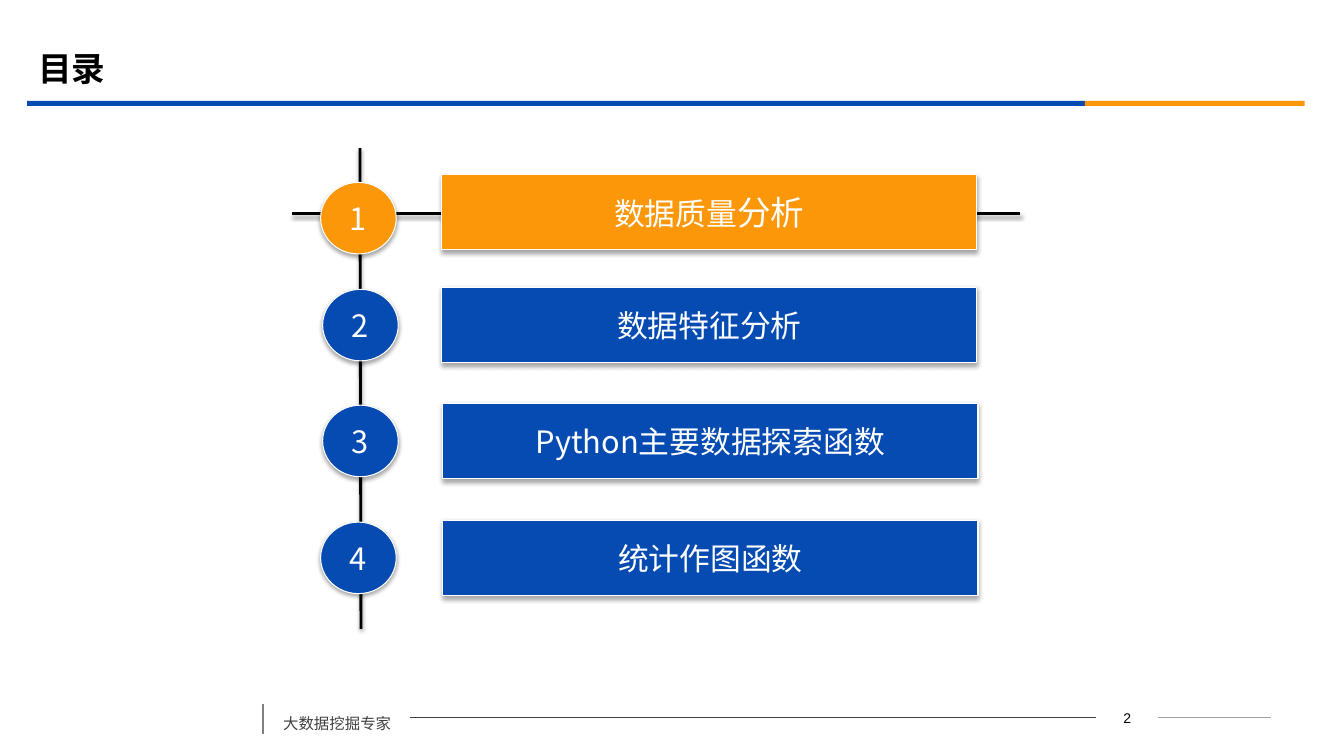
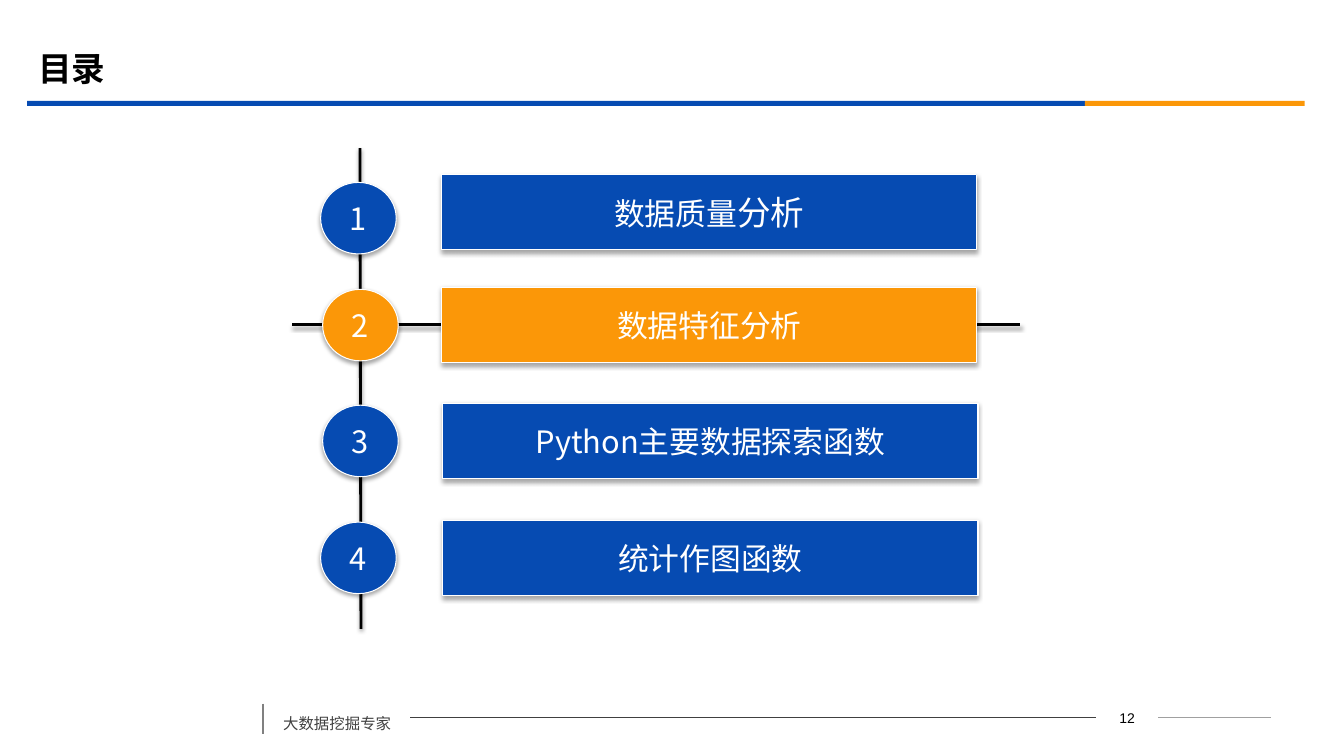
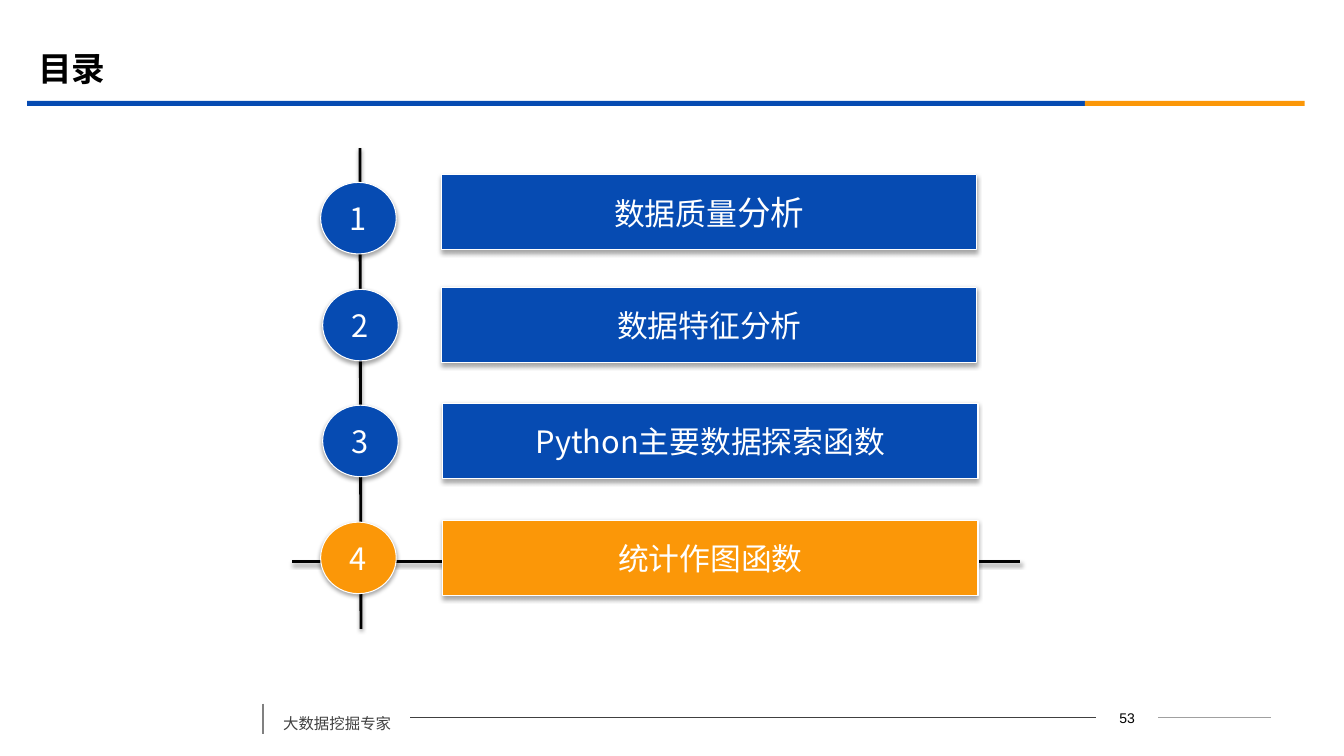
from dataclasses import dataclass

from lxml.etree import SubElement
from pptx import Presentation
from pptx.dml.color import RGBColor
from pptx.enum.shapes import MSO_CONNECTOR as Connector, MSO_SHAPE as Preset
from pptx.enum.text import MSO_ANCHOR as Anchor, MSO_AUTO_SIZE as AutoSize, PP_ALIGN as Align
from pptx.oxml.ns import qn
from pptx.util import Emu, Pt

EMU_PER_PX = 9144  # 100 px to the inch


@dataclass(frozen=True)
class Theme:
    blue: str = "064BB2"
    orange: str = "FB9708"
    black: str = "000000"
    white: str = "FFFFFF"
    motto: str = "404040"
    footer_rule: str = "404040"
    footer_tail: str = "A0A0A0"
    footer_bar: str = "808080"
    cjk_font: str = "Noto Sans CJK SC"
    number_font: str = "Arial"
    title_size: int = 24
    entry_size: int = 22
    entry_large_size: int = 24
    motto_size: int = 11
    number_size: int = 10
    hairline: float = 0.75
    rule_width: float = 2


THEME = Theme()


@dataclass(frozen=True)
class Box:
    left: int
    top: int
    width: int
    height: int

    def emu(self) -> tuple[Emu, ...]:
        return tuple(px(v) for v in (self.left, self.top, self.width, self.height))


@dataclass(frozen=True)
class Rule:
    start: tuple[int, int]
    end: tuple[int, int]
    color: str
    width: float


@dataclass(frozen=True)
class Shadow:
    opacity: int
    distance: float
    blur: float = 3.1


@dataclass(frozen=True)
class Entry:
    runs: tuple[tuple[str, int], ...]
    badge_left: int
    badge_top: int
    bar_left: int
    bar_top: int
    rule_y: int


@dataclass(frozen=True)
class Agenda:
    page: int
    current: int


BADGE_SIZE = (75, 71)
BAR_SIZE = (531, 75)
ENTRY_SHADOW = Shadow(35, 1.8)
RULE_SHADOW = Shadow(38, 1.6)
TITLE_BOX = Box(28, 39, 1200, 58)
MOTTO_BOX = Box(271, 694, 136, 38)
NUMBER_BOX = Box(1087, 699, 62, 25)
BANDS = (
    (Box(27, 100, 1049, 5), THEME.blue),
    (Box(1076, 100, 218, 5), THEME.orange),
)
FOOTER_RULES = (
    Rule((1149, 712), (1261, 712), THEME.footer_tail, THEME.hairline),
    Rule((407, 712), (1087, 712), THEME.footer_rule, THEME.hairline),
    Rule((261, 698), (261, 728), THEME.footer_bar, 1.25),
)
SPINE = Rule((357, 147), (358, 624), THEME.black, THEME.rule_width)
ENTRIES = (
    Entry((("数据质量", THEME.entry_size), ("分析", THEME.entry_large_size)),
          318, 181, 438, 173, 212),
    Entry((("数据特征分析", THEME.entry_size),), 320, 287, 438, 285, 322),
    Entry((("Python主要数据探索函数", THEME.entry_size),), 320, 402, 439, 400, 438),
    Entry((("统计作图函数", THEME.entry_size),), 318, 518, 439, 516, 557),
)
AGENDAS = (Agenda(2, 1), Agenda(12, 2), Agenda(53, 4))


def px(value: int) -> Emu:
    return Emu(value * EMU_PER_PX)


def rgb(color: str) -> RGBColor:
    return RGBColor.from_string(color)


def add_run(paragraph, text: str, size: int, color: str,
            font: str = THEME.cjk_font, bold: bool = False) -> None:
    run = paragraph.add_run()
    run.text = text
    run.font.size = Pt(size)
    run.font.bold = bold
    run.font.color.rgb = rgb(color)
    run.font.name = font
    SubElement(run.font._element, qn("a:ea"), typeface=font)


def add_shadow(effects, shadow: Shadow) -> None:
    outer = SubElement(effects, qn("a:outerShdw"), blurRad=str(Pt(shadow.blur)),
                       dist=str(Pt(shadow.distance)), dir="5400000", rotWithShape="0")
    tint = SubElement(outer, qn("a:srgbClr"), val=THEME.black)
    SubElement(tint, qn("a:alpha"), val=str(shadow.opacity * 1000))


def add_rule(slide, rule: Rule, shadow: Shadow | None = None):
    line = slide.shapes.add_connector(
        Connector.STRAIGHT, *(px(v) for v in rule.start + rule.end))
    line.line.color.rgb = rgb(rule.color)
    line.line.width = Pt(rule.width)
    effects = SubElement(line.element.spPr, qn("a:effectLst"))
    if shadow:
        add_shadow(effects, shadow)
    return line


def add_filled(slide, preset: Preset, box: Box, color: str):
    shape = slide.shapes.add_shape(preset, *box.emu())
    shape.shadow.inherit = False
    shape.fill.solid()
    shape.fill.fore_color.rgb = rgb(color)
    shape.line.fill.background()
    return shape


def add_text_box(slide, box: Box):
    frame = slide.shapes.add_textbox(*box.emu())
    frame.text_frame.word_wrap = True
    return frame


# Bands and footer, held by the layout
def build_frame(slide, layout) -> None:
    for holder in list(layout.placeholders):
        if holder.placeholder_format.idx != 0:
            holder.element.getparent().remove(holder.element)
    parts = [add_filled(slide, Preset.RECTANGLE, box, color) for box, color in BANDS]
    parts += [add_rule(slide, rule) for rule in FOOTER_RULES]
    motto = add_text_box(slide, MOTTO_BOX)
    motto.text_frame.auto_size = AutoSize.SHAPE_TO_FIT_TEXT
    paragraph = motto.text_frame.paragraphs[0]
    paragraph.line_spacing = 1.5
    paragraph.space_before = Pt(6)
    add_run(paragraph, "大数据挖掘专家", THEME.motto_size, THEME.motto)
    for part in parts + [motto]:
        layout.shapes.element.append(part.element)


# Title and page number
def add_heading(slide, page: int) -> None:
    title = slide.shapes.title
    title.left, title.top, title.width, title.height = TITLE_BOX.emu()
    title.text_frame.vertical_anchor = Anchor.MIDDLE
    heading = title.text_frame.paragraphs[0]
    heading.alignment = Align.LEFT
    add_run(heading, "目录", THEME.title_size, THEME.black, bold=True)
    number = add_text_box(slide, NUMBER_BOX).text_frame.paragraphs[0]
    number.alignment = Align.CENTER
    add_run(number, str(page), THEME.number_size, THEME.black, THEME.number_font)


# Numbered badge or bar
def add_entry_part(slide, preset: Preset, box: Box, color: str,
                   runs: tuple[tuple[str, int], ...]) -> None:
    part = add_filled(slide, preset, box, color)
    part.line.color.rgb = rgb(THEME.white)
    part.line.width = Pt(THEME.hairline)
    add_shadow(part.element.spPr.find(qn("a:effectLst")), ENTRY_SHADOW)
    part.text_frame.word_wrap = False
    part.text_frame.vertical_anchor = Anchor.MIDDLE
    paragraph = part.text_frame.paragraphs[0]
    paragraph.alignment = Align.CENTER
    for text, size in runs:
        add_run(paragraph, text, size, THEME.white)


# Spine, marker of the current entry, and all entries
def add_agenda(slide, agenda: Agenda) -> None:
    add_rule(slide, SPINE, RULE_SHADOW)
    marker_y = ENTRIES[agenda.current - 1].rule_y
    marker = Rule((290, marker_y), (1012, marker_y), THEME.black, THEME.rule_width)
    add_rule(slide, marker, RULE_SHADOW)
    for number, entry in enumerate(ENTRIES, start=1):
        color = THEME.orange if number == agenda.current else THEME.blue
        add_entry_part(slide, Preset.OVAL, Box(entry.badge_left, entry.badge_top, *BADGE_SIZE),
                       color, ((str(number), THEME.entry_size),))
        add_entry_part(slide, Preset.ACTION_BUTTON_CUSTOM,
                       Box(entry.bar_left, entry.bar_top, *BAR_SIZE), color, entry.runs)


def main() -> None:
    deck = Presentation()
    deck.slide_width, deck.slide_height = px(1333), px(750)
    layout = deck.slide_layouts.get_by_name("Title Only")
    slides = [deck.slides.add_slide(layout) for _ in AGENDAS]
    build_frame(slides[0], layout)
    for slide, agenda in zip(slides, AGENDAS):
        add_heading(slide, agenda.page)
        add_agenda(slide, agenda)
    deck.save("out.pptx")


if __name__ == "__main__":
    main()
